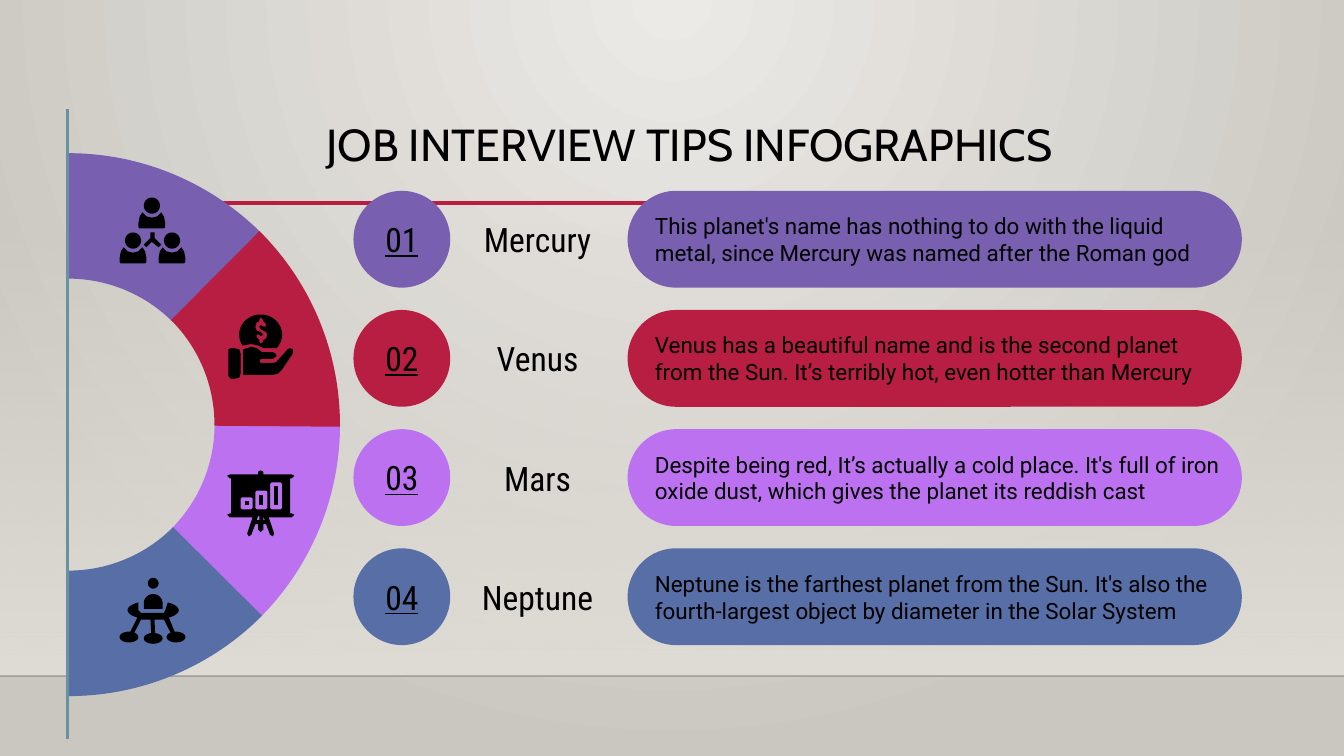
from dataclasses import dataclass
from math import cos, radians, sin

from lxml.etree import SubElement
from pptx import Presentation
from pptx.dml.color import RGBColor
from pptx.enum.shapes import MSO_CONNECTOR, MSO_SHAPE
from pptx.enum.text import MSO_ANCHOR, PP_ALIGN
from pptx.oxml.ns import qn
from pptx.util import Inches, Pt

BLACK = RGBColor(0x00, 0x00, 0x00)
PURPLE = RGBColor(0x79, 0x5F, 0xAF)
RED = RGBColor(0xB7, 0x1E, 0x42)
VIOLET = RGBColor(0xBC, 0x72, 0xF0)
BLUE = RGBColor(0x58, 0x6E, 0xA6)
TEAL = RGBColor(0x68, 0x92, 0xA0)
SAND = RGBColor(0xDF, 0xDB, 0xD5)
GLOW = RGBColor(0xEC, 0xEA, 0xE7)
STONE = RGBColor(0xCA, 0xC7, 0xC1)
FLOOR = RGBColor(0x00, 0x00, 0x01)

Contour = list[tuple[float, float]]


@dataclass
class Tip:
    planet: str
    description: str
    color: RGBColor


@dataclass
class Segment:
    left: float
    top: float
    rotation: int
    start: float  # degrees
    end: float
    color: RGBColor


TIPS = [
    Tip("Mercury", "This planet's name has nothing to do with the liquid metal, "
        "since Mercury was named after the Roman god", PURPLE),
    Tip("Venus", "Venus has a beautiful name and is the second planet from the Sun. "
        "It’s terribly hot, even hotter than Mercury", RED),
    Tip("Mars", "Despite being red, It’s actually a cold place. It's full of iron "
        "oxide dust, which gives the planet its reddish cast", VIOLET),
    Tip("Neptune", "Neptune is the farthest planet from the Sun. It's also the "
        "fourth-largest object by diameter in the Solar System", BLUE),
]
SEGMENTS = [
    Segment(-1.53, 1.13, 90, 269.93, 314.71, VIOLET),
    Segment(-1.52, 1.12, 90, 314.85, 0.19, BLUE),
    Segment(-1.52, 1.14, 0, 269.93, 314.71, PURPLE),
    Segment(-1.53, 1.13, 0, 314.85, 0.45, RED),
]
ROW_TOP, ROW_PITCH, ROW_HEIGHT = 1.42, 2.66 / 3, 0.72


def set_alpha(element, percent: int) -> None:
    color = next(element.iter(qn("a:srgbClr")))
    SubElement(color, qn("a:alpha")).set("val", str(percent * 1000))


def set_gradient(fill, first: RGBColor, last: RGBColor) -> None:
    fill.gradient()
    for stop, color, position in zip(fill.gradient_stops, (first, last), (0, 1)):
        stop.color.rgb = color
        stop.position = position


def add_rule(shapes, x1: float, y1: float, x2: float, y2: float, color: RGBColor, width: float):
    rule = shapes.add_connector(MSO_CONNECTOR.STRAIGHT, Inches(x1), Inches(y1), Inches(x2), Inches(y2))
    rule.line.color.rgb = color
    rule.line.width = Pt(width)
    SubElement(rule.element.spPr, qn("a:effectLst"))
    return rule


def add_block(shapes, preset, left: float, top: float, width: float, height: float, color: RGBColor):
    block = shapes.add_shape(preset, Inches(left), Inches(top), Inches(width), Inches(height))
    block.shadow.inherit = False
    block.line.fill.background()
    block.fill.solid()
    block.fill.fore_color.rgb = color
    return block


def write(shape, text: str, font: str, size: int, align=PP_ALIGN.CENTER,
          underline: bool = False, right_inset: float = 0.1) -> None:
    frame = shape.text_frame
    frame.word_wrap = True
    frame.vertical_anchor = MSO_ANCHOR.MIDDLE
    frame.margin_left = frame.margin_top = frame.margin_bottom = Inches(0.1)
    frame.margin_right = Inches(right_inset)
    frame.text = text
    paragraph = frame.paragraphs[0]
    paragraph.alignment = align
    style = paragraph.runs[0].font
    style.name, style.size, style.color.rgb = font, Pt(size), BLACK
    if underline:
        style.underline = True


def add_tip(shapes, index: int, tip: Tip) -> None:
    top = ROW_TOP + index * ROW_PITCH
    number = add_block(shapes, MSO_SHAPE.OVAL, 2.63, top, ROW_HEIGHT, ROW_HEIGHT, tip.color)
    write(number, f"{index + 1:02}", "Roboto Condensed", 18, underline=True)
    row = shapes.add_group_shape().shapes
    pill = add_block(row, MSO_SHAPE.ROUNDED_RECTANGLE, 4.67, top, 4.57, ROW_HEIGHT, tip.color)
    pill.adjustments[0] = 0.5
    write(pill, tip.description, "Roboto", 12, PP_ALIGN.LEFT, right_inset=0)
    planet = row.add_textbox(Inches(3.35), Inches(top + 0.1), Inches(1.3), Inches(0.52))
    write(planet, tip.planet, "Roboto Condensed", 18)


def arc(cx: float, cy: float, rx: float, ry: float, start: float = 0, sweep: float = 360) -> Contour:
    angles = [radians(start + sweep * i / 32) for i in range(33)]
    return [(cx + rx * cos(a), cy + ry * sin(a)) for a in angles]


def box(left: float, top: float, right: float, bottom: float, cut: float = 0) -> Contour:
    corners = [(left + cut, top), (right - cut, top), (right, top + cut), (right, bottom - cut),
               (right - cut, bottom), (left + cut, bottom), (left, bottom - cut), (left, top + cut)]
    return list(dict.fromkeys(corners))


def person(cx: float, cy: float) -> list[list[Contour]]:
    half = [(0, 0.09), (0.04, 0.08), (0.07, 0.05), (0.09, 0.08), (0.1, 0.13), (0.1, 0.16), (0.09, 0.17)]
    bust = [(cx + x, cy + y) for x, y in half] + [(cx - x, cy + y) for x, y in reversed(half)]
    return [[arc(cx, cy, 0.06, 0.06)], [bust]]


def add_icon(shapes, outlines: list[list[Contour]]) -> None:
    """Each outline is one freeform; its inner contours are holes."""
    icon = shapes.add_group_shape().shapes
    for contours in outlines:
        builder = None
        for contour in contours:
            points = [(Inches(x), Inches(y)) for x, y in contour]
            if builder is None:
                builder = icon.build_freeform(*points[0], scale=1.0)
            else:
                builder.move_to(*points[0])
            builder.add_line_segments(points[1:], close=True)
        glyph = builder.convert_to_shape()
        glyph.shadow.inherit = False
        glyph.line.fill.background()
        glyph.fill.solid()
        glyph.fill.fore_color.rgb = BLACK


# Icon outlines
BRANCHES = [(1.12, 1.73), (1.12, 1.77), (1.07, 1.82), (1.09, 1.84), (1.13, 1.8),
            (1.18, 1.84), (1.2, 1.82), (1.15, 1.77), (1.15, 1.73)]
TEAM = [*person(1.13, 1.53), *person(0.99, 1.79), *person(1.28, 1.79), [BRANCHES]]

DOLLAR = [(1.94, 2.36), (1.96, 2.38), (1.96, 2.39), (1.98, 2.41), (1.98, 2.43), (1.96, 2.43),
          (1.94, 2.42), (1.93, 2.43), (1.94, 2.45), (1.98, 2.47), (1.99, 2.49), (1.98, 2.52),
          (1.96, 2.53), (1.96, 2.54), (1.94, 2.56), (1.93, 2.54), (1.93, 2.53), (1.91, 2.51),
          (1.91, 2.49), (1.93, 2.49), (1.94, 2.5), (1.96, 2.49), (1.94, 2.47), (1.91, 2.46),
          (1.9, 2.43), (1.91, 2.4), (1.93, 2.39), (1.93, 2.38)]
COIN = [*arc(1.94, 2.49, 0.16, 0.15, 42, -255), (1.87, 2.56), (1.92, 2.57), (1.96, 2.59), (2.03, 2.59)]
PALM = [(1.87, 2.58), (1.81, 2.6), (1.81, 2.79), (2.03, 2.79), (2.07, 2.78), (2.1, 2.75),
        (2.18, 2.63), (2.18, 2.6), (2.16, 2.59), (2.14, 2.6), (2.06, 2.69), (2.04, 2.7),
        (1.94, 2.7), (1.93, 2.69), (1.94, 2.67), (2.03, 2.67), (2.06, 2.65), (2.05, 2.63),
        (2.03, 2.62), (1.95, 2.62), (1.91, 2.59)]
CUFF = [(1.7, 2.6), (1.72, 2.59), (1.74, 2.59), (1.78, 2.6), (1.79, 2.63), (1.79, 2.78),
        (1.78, 2.81), (1.74, 2.82), (1.72, 2.82), (1.7, 2.8)]
MONEY = [[CUFF], [COIN, DOLLAR], [PALM]]

EASEL_HALF = [(0, 3.5), (0.02, 3.51), (0.02, 3.53), (0.23, 3.53), (0.25, 3.54), (0.23, 3.56),
              (0.22, 3.56), (0.22, 3.82), (0.23, 3.82), (0.25, 3.83), (0.23, 3.85), (0.06, 3.85),
              (0.1, 3.97), (0.09, 3.99), (0.07, 3.98), (0.04, 3.9), (0.02, 3.9), (0.02, 3.94), (0, 3.96)]
EASEL = [(1.94 + x, y) for x, y in EASEL_HALF] + [(1.94 - x, y) for x, y in reversed(EASEL_HALF)]
BAR_TOPS = {1.79: 3.7, 1.9: 3.65, 2.01: 3.59}
FRAMES = [box(left, top, left + 0.09, 3.79, 0.01) for left, top in BAR_TOPS.items()]
BARS = [[box(left + 0.03, top + 0.03, left + 0.06, 3.76)] for left, top in BAR_TOPS.items()]
GAPS = [[(1.93, 3.84), (1.93, 3.87), (1.91, 3.87), (1.92, 3.84)],
        [(1.96, 3.84), (1.97, 3.87), (1.96, 3.87)]]
CHART_BOARD = [[EASEL, *FRAMES, *GAPS], *BARS]

ROUND_TABLE = [
    *arc(1.14, 4.54, 0.19, 0.07, 235, -107),
    *arc(0.96, 4.74, 0.07, 0.04, 278, -333), (1.05, 4.61), (1.12, 4.61),
    *arc(1.14, 4.75, 0.07, 0.04, 258, -336), (1.15, 4.61), (1.22, 4.61),
    *arc(1.31, 4.74, 0.07, 0.04, 235, -333),
    *arc(1.14, 4.54, 0.19, 0.07, 52, -107),
    (1.23, 4.54), (1.22, 4.56), (1.05, 4.56), (1.03, 4.54)]
SPEAKER = [*arc(1.14, 4.49, 0.07, 0.07, 180, 180), (1.21, 4.53), (1.07, 4.53)]
MEETING = [[arc(1.14, 4.34, 0.04, 0.04)], [ROUND_TABLE], [SPEAKER]]


def main() -> None:
    deck = Presentation()
    deck.slide_width, deck.slide_height = Inches(10), Inches(10 * 9 / 16)
    slide = deck.slides.add_slide(deck.slide_layouts[5])
    shapes = slide.shapes

    # Backdrop: radial glow, wall tint and floor edge
    backdrop = slide.background.fill
    set_gradient(backdrop, GLOW, STONE)
    linear = next(slide.element.iter(qn("a:lin")))
    gradient = linear.getparent()
    gradient.remove(linear)
    radial = SubElement(gradient, qn("a:path"))
    radial.set("path", "circle")
    focus = SubElement(radial, qn("a:fillToRect"))
    for side, value in {"l": 43, "t": 0, "r": 43, "b": 100}.items():
        focus.set(side, str(value * 1000))
    wall = add_block(shapes, MSO_SHAPE.RECTANGLE, 0, 1.66, 10, 3.37, SAND)
    set_gradient(wall.fill, SAND, SAND)
    wall.fill.gradient_angle = 270
    set_alpha(wall.element.spPr, 0)
    floor_edge = add_rule(shapes, 0, 5.03, 10, 5.03, FLOOR, 1)
    set_alpha(floor_edge.element.spPr, 20)

    # Title and its rule
    add_rule(shapes, 1.19, 1.51, 9.07, 1.51, RED, 2.5)
    title = shapes.title
    title.left, title.top, title.width, title.height = map(Inches, (1.19, 0.66, 7.88, 0.86))
    write(title, "JOB INTERVIEW TIPS INFOGRAPHICS", "Cabin", 24)
    title.text_frame.paragraphs[0].line_spacing = 0.9

    # Half ring
    for segment in SEGMENTS:
        wedge = add_block(shapes, MSO_SHAPE.BLOCK_ARC, segment.left, segment.top, 4.06, 4.06, segment.color)
        wedge.rotation = segment.rotation
        # Angles are stored in 60000ths of a degree, adjustments in 100000ths
        wedge.adjustments[0] = segment.start * 0.6
        wedge.adjustments[1] = segment.end * 0.6
        wedge.adjustments[2] = 0.23

    # Tips, icons and the ring's axis
    for index, tip in enumerate(TIPS):
        add_tip(shapes, index, tip)
    for icon in (TEAM, MONEY, CHART_BOARD, MEETING):
        add_icon(shapes, icon)
    add_rule(shapes, 0.5, 0.81, 0.5, 5.5, TEAL, 1.5)

    deck.save("out.pptx")


if __name__ == "__main__":
    main()
